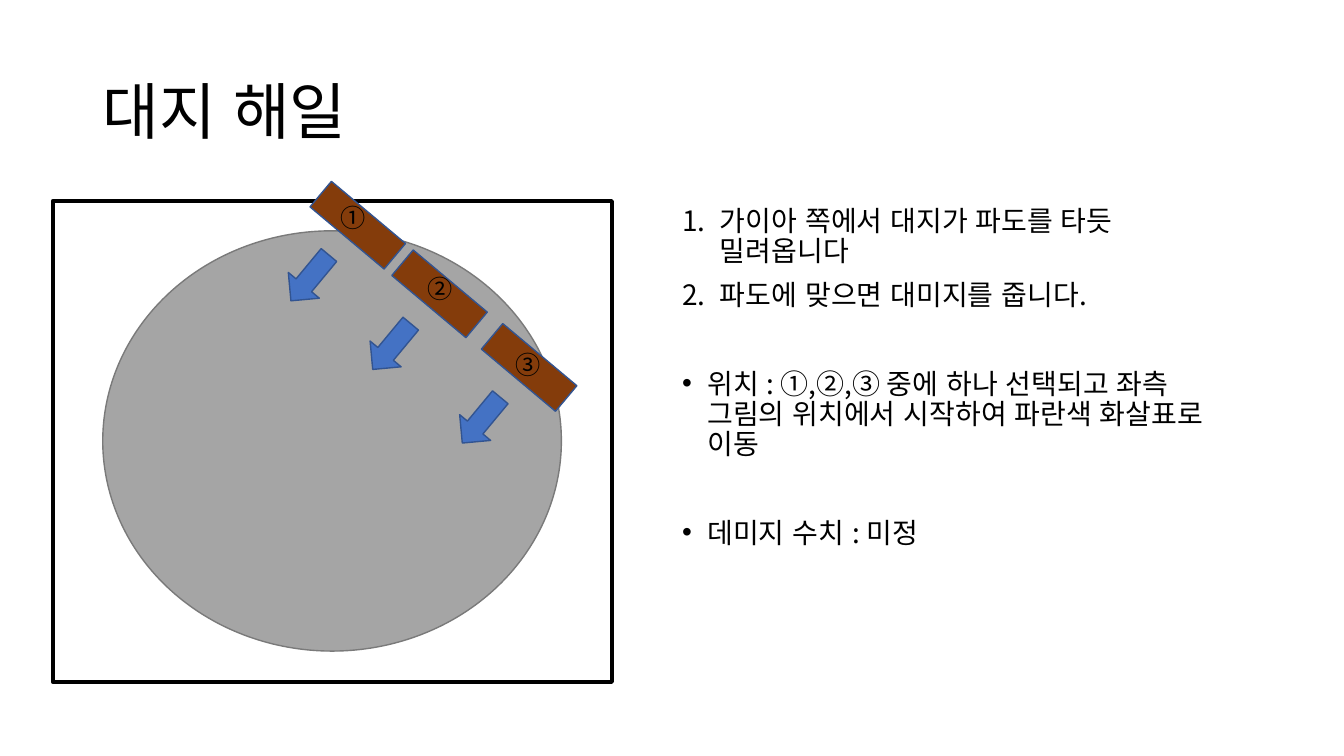
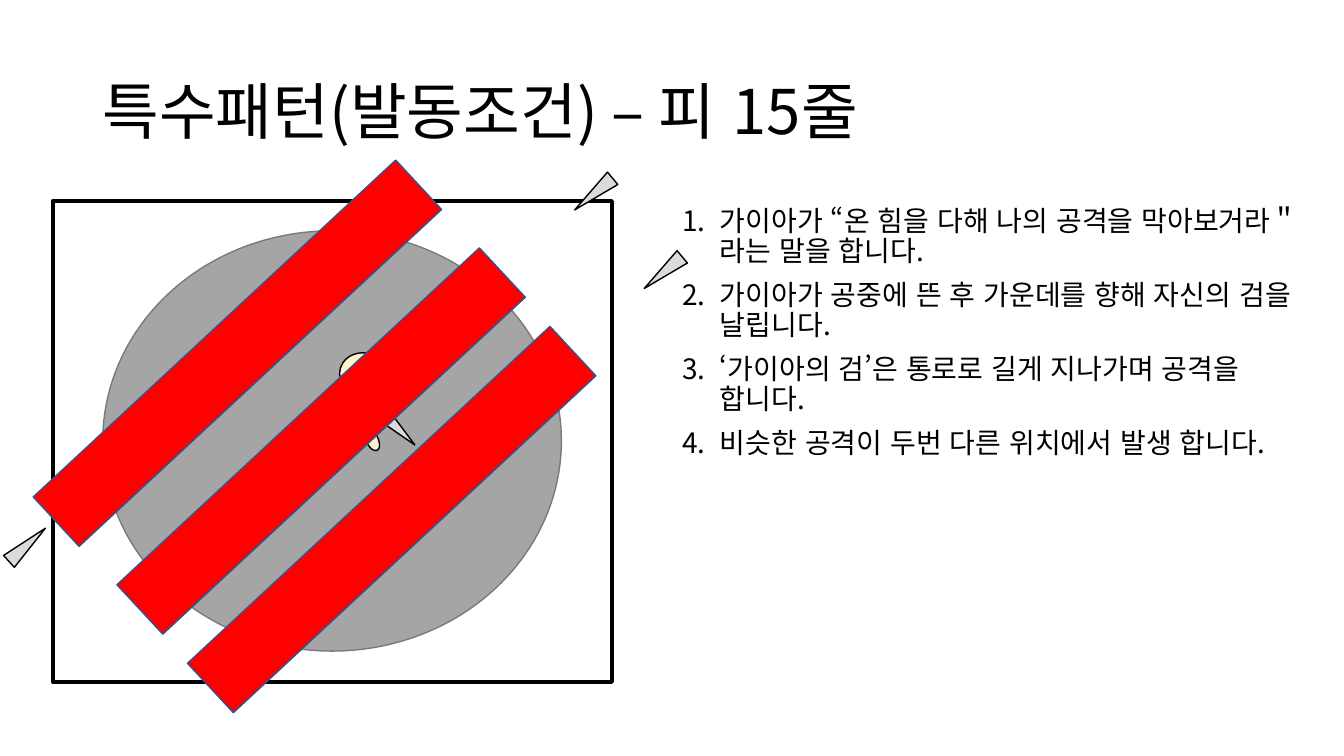
"""Build two slides that explain the boss attack patterns."""
from dataclasses import dataclass
from typing import Any

from lxml import etree
from pptx import Presentation
from pptx.dml.color import RGBColor
from pptx.enum.lang import MSO_LANGUAGE_ID
from pptx.enum.shapes import MSO_SHAPE
from pptx.enum.text import MSO_ANCHOR
from pptx.oxml.ns import qn
from pptx.util import Pt

RECT = MSO_SHAPE.RECTANGLE
OVAL = MSO_SHAPE.OVAL
ARROW = MSO_SHAPE.DOWN_ARROW
BLADE = MSO_SHAPE.ISOSCELES_TRIANGLE
TOP = MSO_ANCHOR.TOP
MIDDLE = MSO_ANCHOR.MIDDLE
KOREAN = MSO_LANGUAGE_ID.KOREAN
FACE = "Noto Sans CJK KR"
BLACK = "000000"
NAVY = "325491"
CREAM = "FFF2CC"
GAP = 10
SKIP = 42


@dataclass(frozen=True)
class Look:
    kind: Any
    wide: float
    high: float
    fill: str | None
    edge: str
    turn: float = 0
    pen: float = 1


@dataclass(frozen=True)
class Type:
    size: float
    pitch: float
    anchor: Any = TOP
    wrap: bool = True


@dataclass(frozen=True)
class Line:
    text: str
    mark: str = ""
    above: float = GAP


FRAME = Look(RECT, 399.4, 343.4, None, BLACK, pen=3)
FIELD = Look(OVAL, 327.6, 300.2, "A5A5A5", "7A7A7A")
WAVE = Look(RECT, 69.1, 23.8, "843C0B", NAVY, 40)
PUSH = Look(ARROW, 28.8, 42.5, "4472C4", NAVY, 39.7)
BEAM = Look(RECT, 353.5, 48.2, "FF0000", NAVY, 137.1)
TRUNK = Look(OVAL, 14.4, 38.9, CREAM, BLACK)
HEAD = Look(OVAL, 33.1, 29.5, CREAM, BLACK)

TITLE = Type(44, 47, MIDDLE)
BODY = Type(20, 21.5)
LABEL = Type(18, 21.5, wrap=False)

WAVES = ((221, 149), (279.4, 198), (343.4, 250.6))
LABELS = (("①", 236.2, 141.1), ("②", 298.1, 191.5), ("③", 361.4, 246.2))
LIMBS = ((265, 284.4, 136.5), (261.4, 305.3, 154.1),
         (247.7, 305.3, 7.4), (245.5, 285.1, 230.7))
BLADES = ((277.9, 288, 133.9), (418.3, 121, 230.2),
          (13.7, 371.5, 47.7), (468, 177.1, 230.2))
BEAMS = ((52.6, 290.9), (-7.2, 228.2), (103, 347))

TIDE = (
    Line("가이아 쪽에서 대지가 파도를 타듯 밀려옵니다", "1"),
    Line("파도에 맞으면 대미지를 줍니다.", "1"),
    Line("위치 : ①,②,③ 중에 하나 선택되고 좌측 그림의 위치에서 시작하여 "
         "파란색 화살표로 이동", "•", SKIP),
    Line("데미지 수치 : 미정", "•", SKIP),
)
SWORD = (
    Line("가이아가 “온 힘을 다해 나의 공격을 막아보거라＂라는 말을 합니다.", "1"),
    Line("가이아가 공중에 뜬 후 가운데를 향해 자신의 검을 날립니다.", "1"),
    Line("‘가이아의 검’은 통로로 길게 지나가며 공격을 합니다.", "1"),
    Line("비슷한 공격이 두번 다른 위치에서 발생 합니다.", "1"),
)


def color(code: str) -> RGBColor:
    return RGBColor.from_string(code)


def apply(item: Any, form: dict[str, Any]) -> None:
    for name, value in form.items():
        setattr(item, name, value)


def draw(slide: Any, look: Look, left: float, top: float) -> None:
    shape = slide.shapes.add_shape(
        look.kind, Pt(left), Pt(top), Pt(look.wide), Pt(look.high))
    shape.shadow.inherit = False
    shape.rotation = look.turn
    if look.fill:
        shape.fill.solid()
        shape.fill.fore_color.rgb = color(look.fill)
    else:
        shape.fill.background()
    shape.line.color.rgb = color(look.edge)
    shape.line.width = Pt(look.pen)


def mark(para: Any, sign: str) -> None:
    props = para._p.get_or_add_pPr()
    hang = Pt(27 if sign == "1" else 18)
    props.set("marL", str(hang))
    props.set("indent", str(-hang))
    if sign == "1":
        etree.SubElement(props, qn("a:buAutoNum"), type="arabicPeriod")
    else:
        etree.SubElement(props, qn("a:buFont"), typeface="Arial")
        etree.SubElement(props, qn("a:buChar"), char=sign)


def write(slide: Any, lines: tuple[Line, ...], kind: Type,
          left: float, top: float, wide: float, high: float) -> None:
    box = slide.shapes.add_textbox(Pt(left), Pt(top), Pt(wide), Pt(high))
    frame = box.text_frame
    apply(frame, {"word_wrap": kind.wrap, "vertical_anchor": kind.anchor})
    for rank, line in enumerate(lines):
        para = frame.add_paragraph() if rank else frame.paragraphs[0]
        apply(para, {"line_spacing": Pt(kind.pitch),
                     "space_before": Pt(line.above if rank else 0)})
        if line.mark:
            mark(para, line.mark)
        run = para.add_run()
        run.text = line.text
        apply(run.font, {"name": FACE, "size": Pt(kind.size),
                         "language_id": KOREAN})
        run.font.color.rgb = color(BLACK)
        etree.SubElement(run._r.get_or_add_rPr(), qn("a:ea"), typeface=FACE)


def start(deck: Any, title: str, lines: tuple[Line, ...], wide: float) -> Any:
    slide = deck.slides.add_slide(deck.slide_layouts[6])
    write(slide, (Line(title),), TITLE, 66.2, 28.8, 828, 104.4)
    write(slide, lines, BODY, 480.2, 144, wide, 342.7)
    draw(slide, FRAME, 37.7, 143.7)
    draw(slide, FIELD, 73.4, 164.9)
    return slide


def tide(deck: Any) -> None:
    slide = start(deck, "대지 해일", TIDE, 414)
    for left, top in WAVES:
        draw(slide, WAVE, left, top)
        draw(slide, PUSH, left - 14, top + 28.3)
    for text, left, top in LABELS:
        write(slide, (Line(text),), LABEL, left, top, 32.4, 28.8)


def sword(deck: Any) -> None:
    slide = start(deck, "특수패턴(발동조건) – 피 15줄", SWORD, 456.5)
    draw(slide, TRUNK, 252, 275)
    draw(slide, HEAD, 242.6, 252)
    for left, top, turn in LIMBS:
        draw(slide, Look(OVAL, 8.6, 17.3, CREAM, BLACK, turn), left, top)
    for left, top, turn in BLADES:
        draw(slide, Look(BLADE, 11.5, 35.3, "DBDBDB", BLACK, turn), left, top)
    for left, top in BEAMS:
        draw(slide, BEAM, left, top)


def main() -> None:
    deck = Presentation()
    apply(deck, {"slide_width": Pt(960), "slide_height": Pt(540)})
    tide(deck)
    sword(deck)
    deck.save("out.pptx")


if __name__ == "__main__":
    main()
